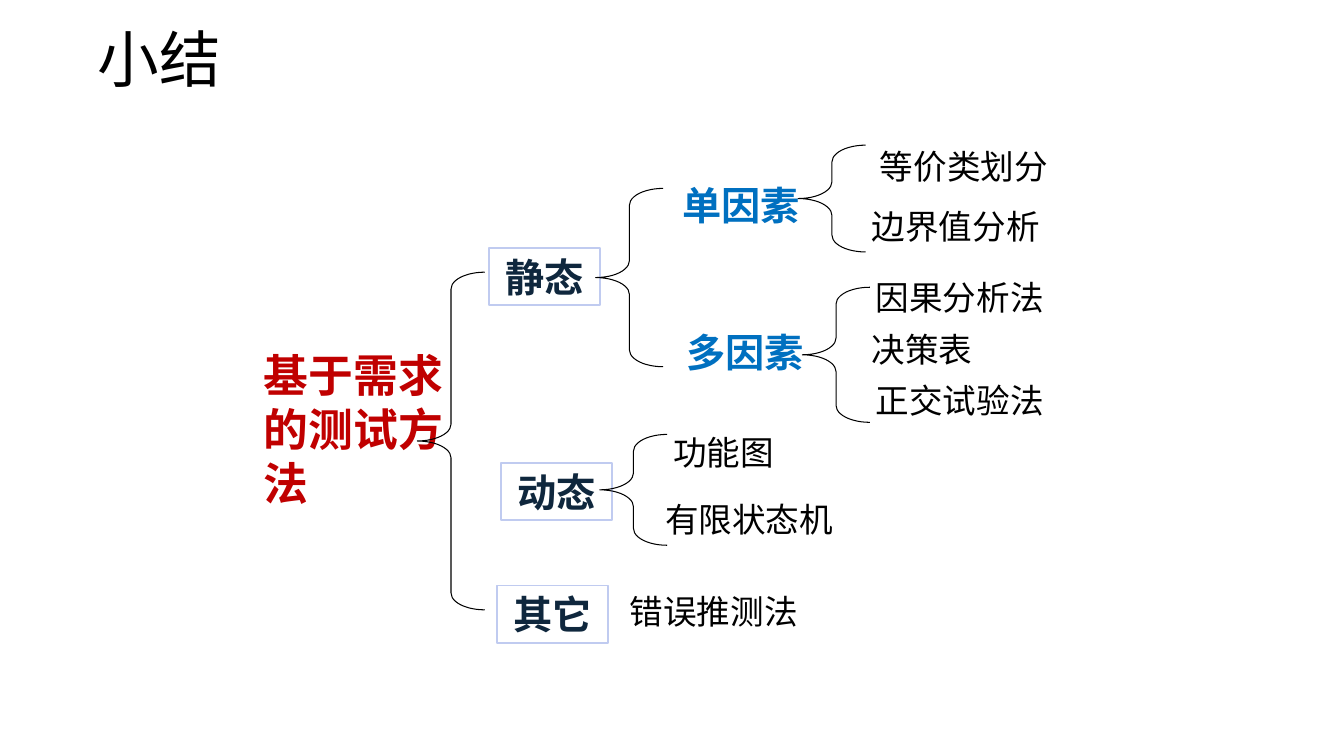
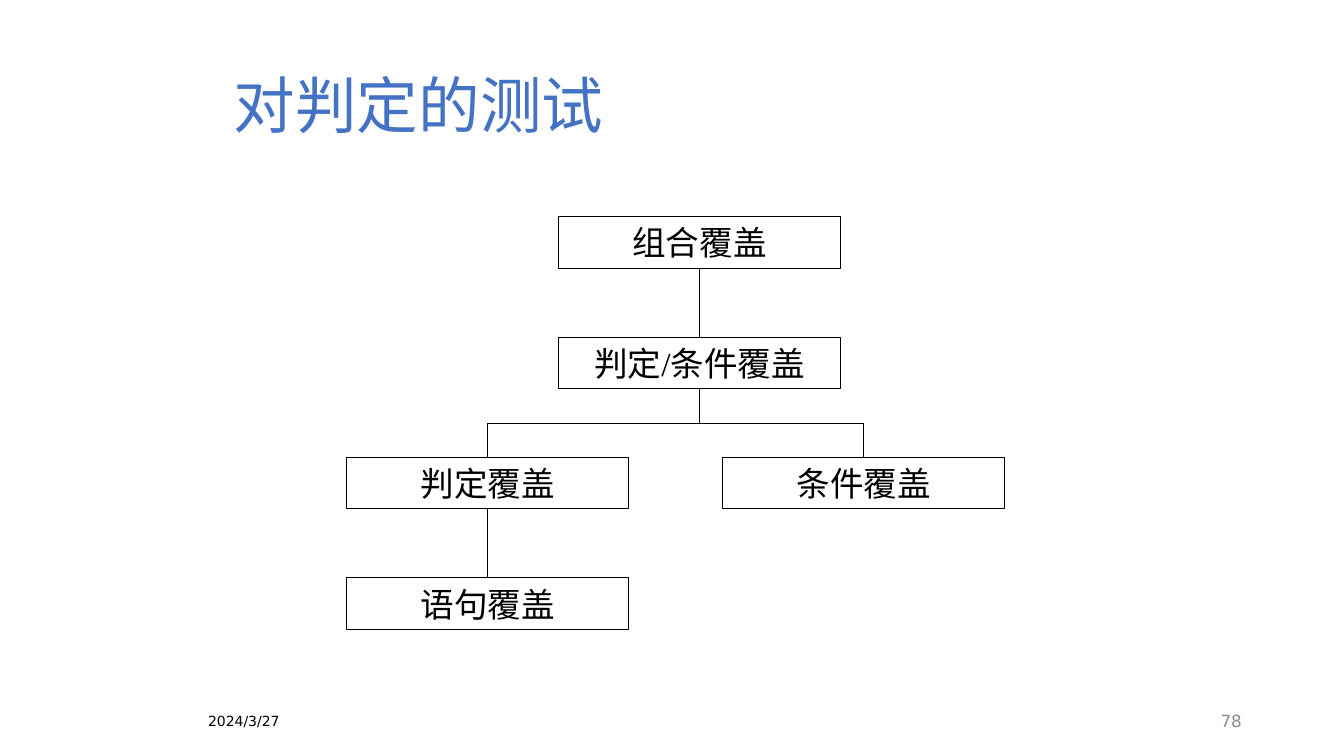
from lxml import etree
from pptx import Presentation
from pptx.dml.color import RGBColor
from pptx.enum.shapes import MSO_CONNECTOR, MSO_SHAPE
from pptx.enum.text import MSO_ANCHOR, MSO_AUTO_SIZE, PP_ALIGN
from pptx.oxml.ns import qn
from pptx.util import Pt

RECTANGLE, LEFT_BRACE = MSO_SHAPE.RECTANGLE, MSO_SHAPE.LEFT_BRACE
STRAIGHT = MSO_CONNECTOR.STRAIGHT
MIDDLE, BOTTOM = MSO_ANCHOR.MIDDLE, MSO_ANCHOR.BOTTOM
LEFT, CENTER, RIGHT = PP_ALIGN.LEFT, PP_ALIGN.CENTER, PP_ALIGN.RIGHT
NO_AUTOFIT = MSO_AUTO_SIZE.NONE

COLORS = {
    "ink": "000000", "root": "C00000", "category": "0F273D", "frame": "C0CBF0",
    "factor": "0070C0", "heading": "4472C4", "number": "8C8C8C",
}
CJK, SERIF, SANS = "Noto Sans CJK SC", "Times New Roman", "DejaVu Sans"
BRACE_W = 48.2
CATEGORY_W, FACTOR_W, LABEL_H = 79.2, 105.1, 41
LEAF_W, LEAF_H = 187.2, 36


def rgb(name):
    return RGBColor.from_string(COLORS[name])


def write(shape, text, size=24, color="ink", font=CJK, bold=False,
          align=LEFT, anchor=MIDDLE, spacing=None):
    frame = shape.text_frame
    frame.word_wrap = True
    frame.auto_size = NO_AUTOFIT
    frame.vertical_anchor = anchor
    paragraph = frame.paragraphs[0]
    paragraph.alignment = align
    if spacing:
        paragraph.line_spacing = spacing
    run = paragraph.add_run()
    run.text = text
    run.font.size, run.font.bold, run.font.name = Pt(size), bold, font
    run.font.color.rgb = rgb(color)
    east_asian = etree.SubElement(run.font._element, qn("a:ea"))
    east_asian.set("typeface", CJK)


def add_label(slide, box, text, **style):
    write(slide.shapes.add_textbox(*map(Pt, box)), text, **style)


def add_outline(slide, kind, box, line="ink", width=0.75):
    shape = slide.shapes.add_shape(kind, *map(Pt, box))
    shape.shadow.inherit = False
    shape.fill.background()
    shape.line.color.rgb = rgb(line)
    shape.line.width = Pt(width)
    return shape


def add_brace(slide, left, top, height):
    brace = add_outline(slide, LEFT_BRACE, (left, top, BRACE_W, height))
    brace.adjustments[0] = 0.25


def add_line(slide, x1, y1, x2, y2):
    line = slide.shapes.add_connector(STRAIGHT, Pt(x1), Pt(y1), Pt(x2), Pt(y2))
    line.line.color.rgb = rgb("ink")
    line.line.width = Pt(0.75)
    etree.SubElement(line._element.spPr, qn("a:effectLst"))


def titled_slide(prs, title, box, **style):
    slide = prs.slides.add_slide(prs.slide_layouts[5])
    heading = slide.shapes.title
    heading.left, heading.top, heading.width, heading.height = map(Pt, box)
    write(heading, title, size=44, spacing=0.9, **style)
    return slide


def add_category(slide, left, top, name):
    frame = add_outline(slide, RECTANGLE, (left, top, CATEGORY_W, LABEL_H),
                        line="frame", width=1.25)
    write(frame, name, size=28, color="category", bold=True, align=CENTER)


def add_methods(slide, left, top, height, methods):
    """A brace at (left, top), with methods offset from its corner."""
    add_brace(slide, left, top, height)
    for dx, dy, name in methods:
        add_label(slide, (left + dx, top + dy, LEAF_W, LEAF_H), name)


def summary_slide(prs):
    slide = titled_slide(prs, "小结", (62.6, 25.2, 365.8, 39.6))

    # Root and its categories
    add_label(slide, (181.4, 244.1, 144.7, 123.8), "基于需求的测试方法",
              size=32, color="root", bold=True, spacing=Pt(38.4))
    add_brace(slide, 298.1, 194.4, 241.2)
    for left, top, name in ((349.2, 177.1, "静态"), (357.8, 330.5, "动态"),
                            (355, 418.3, "其它")):
        add_category(slide, left, top, name)

    # Static factors
    add_brace(slide, 425.5, 134.6, 127.4)
    for left, top, name in ((476.6, 126, "单因素"), (479.5, 231.1, "多因素")):
        add_label(slide, (left, top, FACTOR_W, LABEL_H), name,
                  size=28, color="factor", bold=True, align=CENTER)

    # Methods
    add_methods(slide, 570.2, 103.7, 76.3,
                ((51.2, -2.9, "等价类划分"), (45.4, 39.6, "边界值分析")))
    add_methods(slide, 573.1, 205.2, 96.5,
                ((45.4, -10.8, "因果分析法"), (42.5, 25.9, "决策表"),
                 (45.4, 62.6, "正交试验法")))
    add_methods(slide, 428.4, 310.3, 79.2,
                ((45.4, -5.7, "功能图"), (39.6, 42.5, "有限状态机")))
    add_label(slide, (442.8, 418.3, LEAF_W, LEAF_H), "错误推测法")


def coverage_tree(slide, left, top):
    """The hierarchy, placed from its top left corner."""
    node_w, node_h, pitch = 201.6, 36.8, 86
    trunk, decision, condition = (left + dx + node_w / 2 for dx in (151.2, 0, 268.5))
    rows = [top + pitch * i for i in range(4)]
    bus = (rows[1] + node_h + rows[2]) / 2

    # Nodes
    for center, y, name in ((trunk, rows[0], "组合覆盖"),
                            (trunk, rows[1], "判定/条件覆盖"),
                            (decision, rows[2], "判定覆盖"),
                            (condition, rows[2], "条件覆盖"),
                            (decision, rows[3], "语句覆盖")):
        node = add_outline(slide, RECTANGLE, (center - node_w / 2, y, node_w, node_h))
        write(node, name, font=SERIF, align=CENTER)

    # Links
    for x, start, end in ((trunk, rows[0] + node_h, rows[1]),
                          (trunk, rows[1] + node_h, bus),
                          (decision, bus, rows[2]),
                          (condition, bus, rows[2]),
                          (decision, rows[2] + node_h, rows[3])):
        add_line(slide, x, start, x, end)
    add_line(slide, decision, bus, condition, bus)


def decision_slide(prs):
    slide = titled_slide(prs, "对判定的测试", (159.8, 32.4, 640.8, 72.7),
                         color="heading", anchor=BOTTOM)
    coverage_tree(slide, 247.7, 154.8)

    # Footer
    add_label(slide, (66.2, 500.4, 216, 28.8), "2024/3/27",
              size=10, font=SANS, align=CENTER)
    add_label(slide, (678.2, 500.4, 216, 28.8), "78",
              size=12, font=SANS, color="number", align=RIGHT)


def main():
    prs = Presentation()
    prs.slide_width, prs.slide_height = Pt(960), Pt(540)
    summary_slide(prs)
    decision_slide(prs)
    prs.save("out.pptx")


if __name__ == "__main__":
    main()
